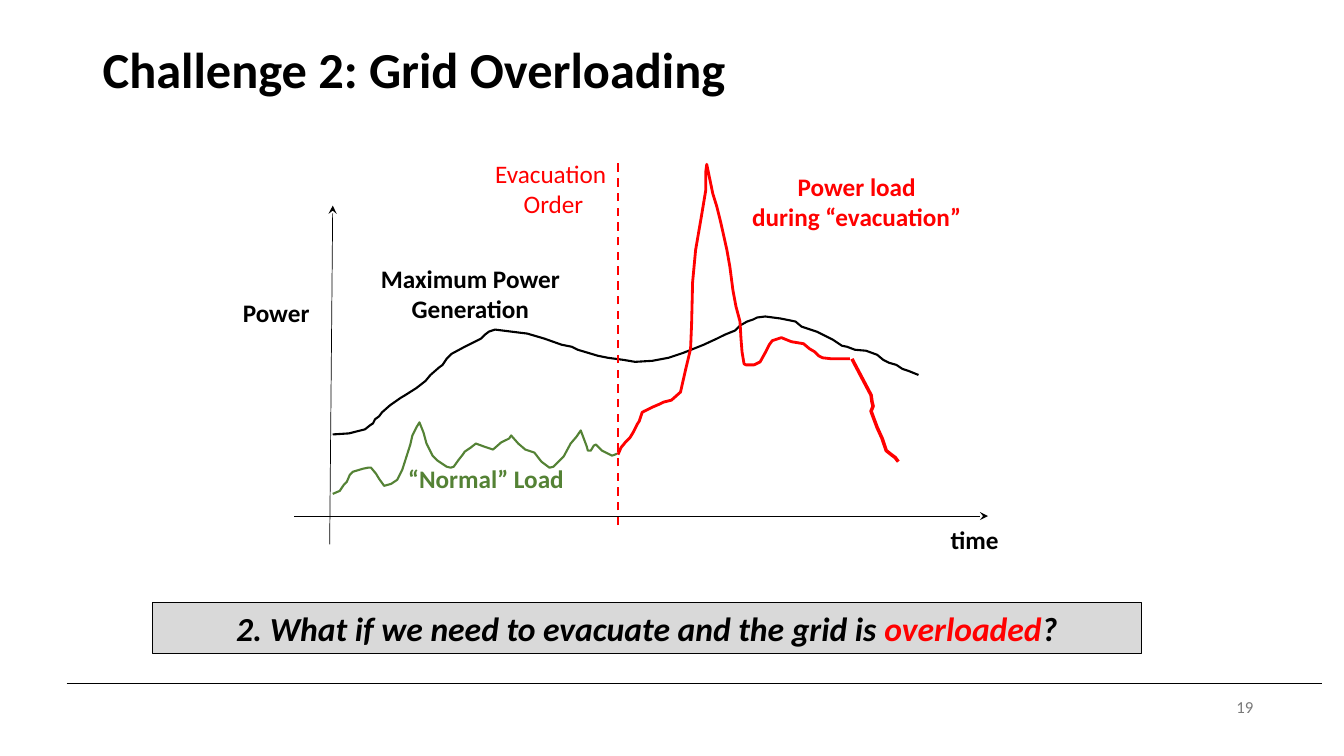
from lxml import etree
from pptx import Presentation
from pptx.dml.color import RGBColor
from pptx.enum.dml import MSO_LINE
from pptx.enum.shapes import MSO_CONNECTOR, MSO_SHAPE
from pptx.enum.text import MSO_ANCHOR, PP_ALIGN
from pptx.oxml.ns import qn
from pptx.util import Inches, Pt

STRAIGHT = MSO_CONNECTOR.STRAIGHT
DASH = MSO_LINE.DASH
RECTANGLE = MSO_SHAPE.RECTANGLE
MIDDLE = MSO_ANCHOR.MIDDLE
TOP = MSO_ANCHOR.TOP
LEFT = PP_ALIGN.LEFT
CENTER = PP_ALIGN.CENTER
RIGHT = PP_ALIGN.RIGHT

FONT = "Calibri"
BLACK = "000000"
RED = "FF0000"
GREEN = "548235"
GRAY = "797979"
LIGHT_GRAY = "D9D9D9"

MAXIMUM_GENERATION = [
    (3.3, 4.31), (3.46, 4.3), (3.62, 4.26), (3.67, 4.22), (3.7, 4.2),
    (3.72, 4.16), (3.76, 4.13), (3.79, 4.09), (3.87, 4.02), (3.97, 3.95),
    (4.02, 3.92), (4.13, 3.85), (4.22, 3.78), (4.27, 3.72), (4.35, 3.65),
    (4.39, 3.62), (4.43, 3.56), (4.48, 3.51), (4.61, 3.44), (4.77, 3.36),
    (4.81, 3.32), (4.85, 3.29), (4.91, 3.27), (5.07, 3.29), (5.23, 3.31),
    (5.4, 3.36), (5.57, 3.42), (5.67, 3.44), (5.73, 3.47), (5.93, 3.53),
    (6.03, 3.55), (6.18, 3.57), (6.3, 3.59), (6.47, 3.58), (6.63, 3.55),
    (6.78, 3.5), (6.98, 3.42), (7.11, 3.36), (7.19, 3.32), (7.29, 3.28),
    (7.34, 3.23), (7.41, 3.19), (7.47, 3.17), (7.51, 3.15), (7.59, 3.14),
    (7.74, 3.16), (7.89, 3.19), (7.95, 3.24), (8.1, 3.29), (8.26, 3.37),
    (8.35, 3.43), (8.4, 3.44), (8.48, 3.47), (8.59, 3.48), (8.7, 3.52),
    (8.76, 3.57), (8.82, 3.6), (8.89, 3.62), (8.95, 3.66), (9.01, 3.68),
    (9.11, 3.72),
]
NORMAL_LOAD = [
    (3.3, 4.9), (3.37, 4.87), (3.41, 4.81), (3.44, 4.78), (3.47, 4.71),
    (3.5, 4.68), (3.6, 4.65), (3.65, 4.64), (3.68, 4.64), (3.73, 4.7),
    (3.76, 4.75), (3.81, 4.82), (3.88, 4.8), (3.94, 4.76), (3.99, 4.66),
    (4.07, 4.41), (4.09, 4.32), (4.13, 4.24), (4.16, 4.19), (4.2, 4.29),
    (4.23, 4.4), (4.27, 4.48), (4.29, 4.52), (4.34, 4.57), (4.43, 4.63),
    (4.47, 4.64), (4.5, 4.63), (4.55, 4.56), (4.59, 4.51), (4.61, 4.48),
    (4.67, 4.44), (4.72, 4.4), (4.8, 4.43), (4.89, 4.46), (4.97, 4.39),
    (5.05, 4.35), (5.07, 4.32), (5.14, 4.4), (5.21, 4.46), (5.3, 4.49),
    (5.37, 4.58), (5.45, 4.64), (5.49, 4.63), (5.53, 4.59), (5.59, 4.53),
    (5.66, 4.4), (5.72, 4.33), (5.76, 4.27), (5.82, 4.43), (5.83, 4.47),
    (5.86, 4.47), (5.89, 4.42), (5.91, 4.41), (5.97, 4.47), (6.01, 4.49),
    (6.07, 4.52), (6.1, 4.51), (6.12, 4.5),
]
EVACUATION_LOAD = [
    (6.13, 4.51), (6.16, 4.44), (6.21, 4.38), (6.25, 4.34), (6.28, 4.29),
    (6.32, 4.21), (6.34, 4.18), (6.37, 4.09), (6.39, 4.08), (6.47, 4.04),
    (6.54, 4.01), (6.58, 3.99), (6.66, 3.97), (6.75, 3.89), (6.8, 3.67),
    (6.85, 3.46), (6.86, 3.21), (6.87, 2.8), (6.9, 2.48), (6.96, 2.13),
    (7, 1.89), (7, 1.71), (7.01, 1.63), (7.07, 1.92), (7.11, 2.05),
    (7.15, 2.21), (7.21, 2.48), (7.24, 2.65), (7.27, 2.88), (7.3, 3.04),
    (7.34, 3.19), (7.35, 3.36), (7.36, 3.49), (7.38, 3.61), (7.4, 3.62),
    (7.48, 3.62), (7.54, 3.59), (7.59, 3.5), (7.63, 3.42), (7.66, 3.38),
    (7.75, 3.35), (7.8, 3.37), (7.85, 3.39), (7.97, 3.41), (8.03, 3.46),
    (8.08, 3.49), (8.12, 3.53), (8.16, 3.55), (8.25, 3.56), (8.43, 3.56),
]
EVACUATION_DROP = [
    (8.45, 3.56), (8.64, 3.92), (8.65, 3.99), (8.66, 4.03), (8.64, 4.08),
    (8.67, 4.16), (8.7, 4.24), (8.75, 4.35), (8.79, 4.47), (8.84, 4.51),
    (8.88, 4.54), (8.91, 4.58),
]


def color(value):
    return RGBColor.from_string(value)


def style_line(line, line_color, width):
    line.color.rgb = color(line_color)
    line.width = Pt(width)


def style_run(run, size, text_color, bold=False, italic=False):
    run.font.name = FONT
    run.font.size = Pt(size)
    run.font.color.rgb = color(text_color)
    run.font.bold = bold
    run.font.italic = italic


def add_label(slide, lines, left, top, width, height, size=18, text_color=BLACK,
              bold=True, align=CENTER, anchor=TOP, wrap=False, spacing=1.0):
    shape = slide.shapes.add_textbox(
        Inches(left), Inches(top), Inches(width), Inches(height))
    text_frame = shape.text_frame
    text_frame.text = "\n".join(lines)
    text_frame.word_wrap = wrap
    text_frame.vertical_anchor = anchor
    for paragraph in text_frame.paragraphs:
        paragraph.alignment = align
        paragraph.line_spacing = spacing
        style_run(paragraph.runs[0], size, text_color, bold)


def add_line(slide, start, end, line_color=BLACK, width=0.5, dash=None, arrow=False):
    connector = slide.shapes.add_connector(
        STRAIGHT, *(Inches(value) for value in start + end))
    style_line(connector.line, line_color, width)
    if dash:
        connector.line.dash_style = dash
    properties = connector._element.spPr
    if arrow:
        etree.SubElement(properties.find(qn("a:ln")), qn("a:tailEnd"), type="stealth")
    etree.SubElement(properties, qn("a:effectLst"))


def add_curve(slide, points, line_color, width):
    start, *rest = [(Inches(x), Inches(y)) for x, y in points]
    builder = slide.shapes.build_freeform(*start)
    builder.add_line_segments(rest, close=False)
    shape = builder.convert_to_shape()
    shape.shadow.inherit = False
    shape.fill.background()
    style_line(shape.line, line_color, width)


def add_question(slide):
    shape = slide.shapes.add_shape(
        RECTANGLE, Inches(1.51), Inches(5.98), Inches(9.81), Inches(0.5))
    shape.shadow.inherit = False
    shape.fill.solid()
    shape.fill.fore_color.rgb = color(LIGHT_GRAY)
    style_line(shape.line, BLACK, 0.75)
    shape.text_frame.word_wrap = True
    paragraph = shape.text_frame.paragraphs[0]
    paragraph.alignment = CENTER
    for text, text_color in [
        ("2. What if we need to evacuate and the grid is", BLACK),
        (" overloaded", RED),
        ("?", BLACK),
    ]:
        run = paragraph.add_run()
        run.text = text
        style_run(run, 24, text_color, bold=True, italic=True)


def main():
    presentation = Presentation()
    presentation.slide_width = Inches(13.33)
    presentation.slide_height = Inches(7.5)
    slide = presentation.slides.add_slide(presentation.slide_layouts[6])

    add_line(slide, (0.66, 6.78), (13.11, 6.78))
    add_label(slide, ["19"], 11.11, 6.81, 1.42, 0.4, size=12, text_color=GRAY,
              bold=False, align=RIGHT, anchor=MIDDLE, wrap=True)
    add_label(slide, ["Challenge 2: Grid Overloading"], 0.92, 0.4, 11.5, 0.94,
              size=36, align=LEFT, wrap=True, spacing=0.9)

    add_line(slide, (2.92, 5.12), (9.8, 5.12), arrow=True)
    add_line(slide, (3.27, 5.4), (3.3, 2.04), arrow=True)
    add_label(slide, ["time"], 9.33, 5.15, 0.68, 0.4, align=LEFT)
    add_label(slide, ["Power"], 2.31, 2.9, 0.87, 0.4, align=LEFT)

    add_curve(slide, MAXIMUM_GENERATION, BLACK, 1.5)
    add_label(slide, ["Maximum Power Generation"], 3.54, 2.56, 2.25, 0.71, wrap=True)
    add_curve(slide, NORMAL_LOAD, GREEN, 1.5)
    add_label(slide, ["“Normal” Load"], 3.95, 4.55, 1.76, 0.4,
              text_color=GREEN, align=LEFT)
    add_curve(slide, EVACUATION_LOAD, RED, 2)
    add_curve(slide, EVACUATION_DROP, RED, 2.5)
    add_label(slide, ["Power load ", "during “evacuation” "], 7.35, 1.65, 2.35, 0.71,
              text_color=RED)

    add_line(slide, (6.13, 5.21), (6.13, 1.6), RED, 1.5, dash=DASH)
    add_label(slide, ["Evacuation ", "Order"], 4.56, 1.52, 1.86, 0.71,
              text_color=RED, bold=False, wrap=True)
    add_question(slide)

    presentation.save("out.pptx")


if __name__ == "__main__":
    main()
